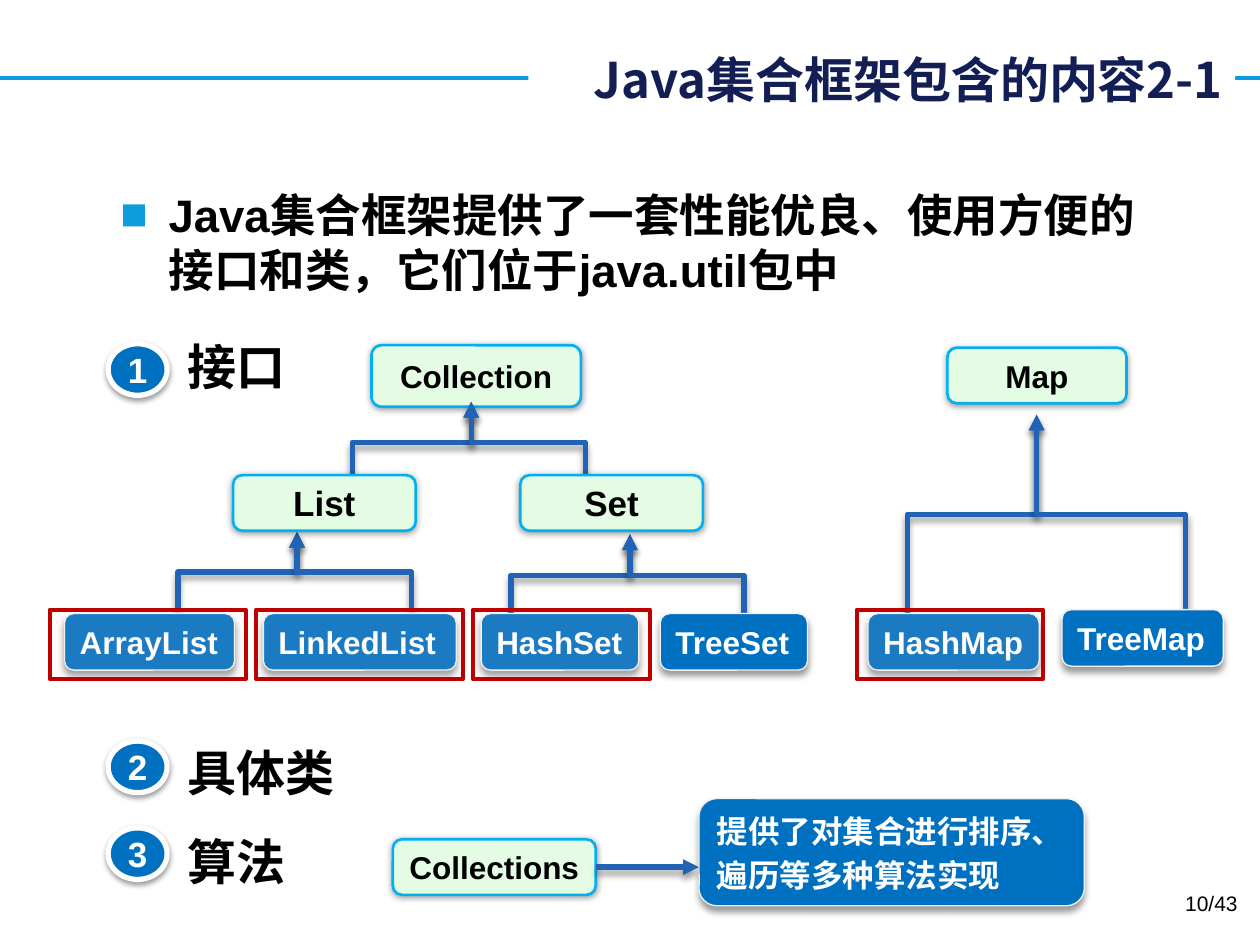
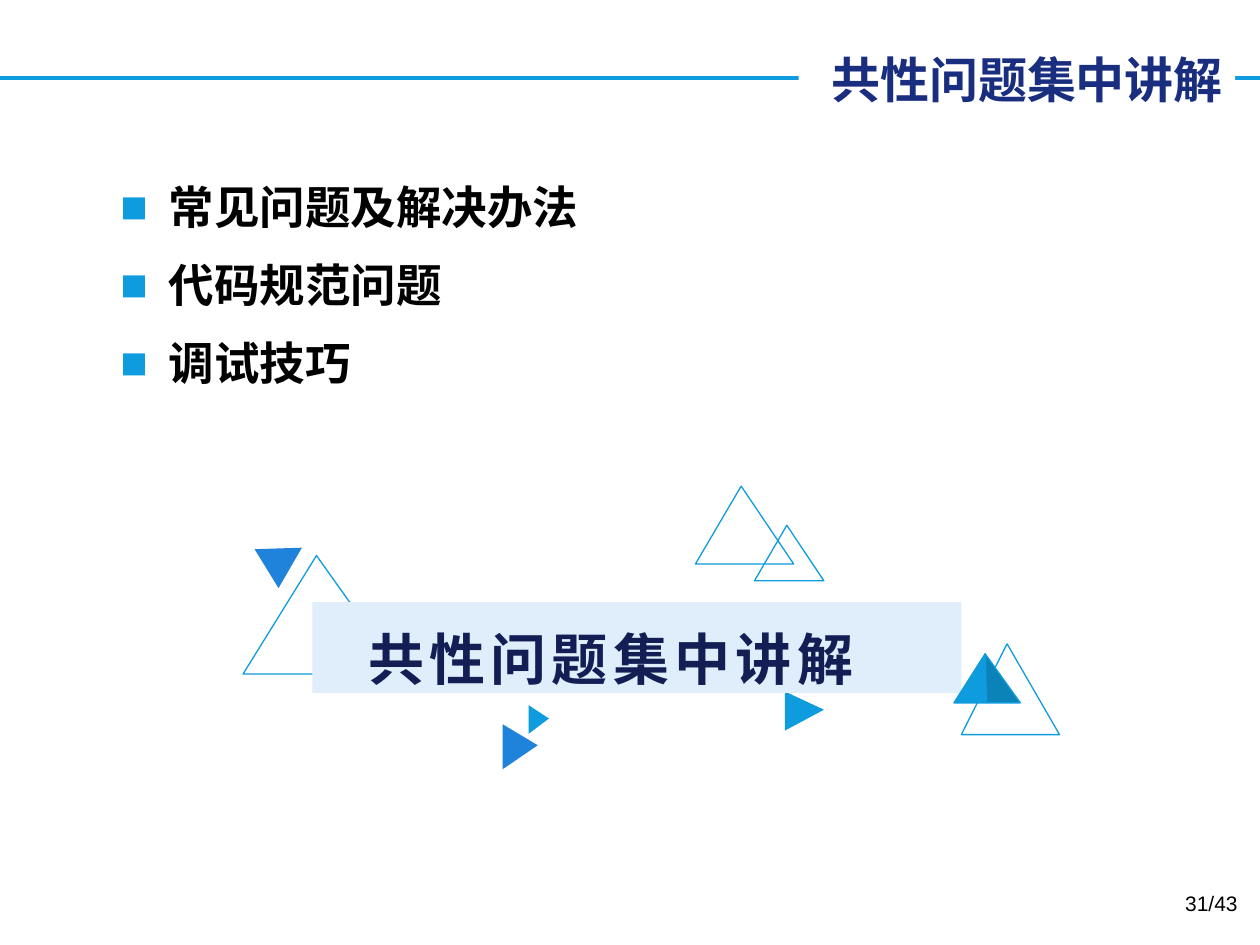
from lxml.etree import SubElement
from pptx import Presentation
from pptx.dml.color import RGBColor
from pptx.enum.shapes import MSO_CONNECTOR as CONNECTOR, MSO_SHAPE as SHAPE
from pptx.enum.text import MSO_ANCHOR as ANCHOR, PP_ALIGN as ALIGN
from pptx.oxml.ns import qn
from pptx.util import Cm, Pt

# Shared look
LATIN, CJK = "Arial", "Noto Sans CJK SC"
SKY, BLUE, ROYAL, NAVY = "0E9CDE", "0070C0", "1F82DB", "121E54"
ARROW_BLUE, MINT, CYAN, RED = "2163B4", "E4FCE4", "00B0F0", "C00000"
WHITE, BLACK, PALE = "FFFFFF", "000000", "F2F2F2"
CJK_LINE = 1.21
INDENT = 0.97


def color(value):
    return RGBColor.from_string(value)


def add_shadow(shape, blur=None, distance=None, alpha=40):
    """Replace the theme shadow; without a blur the shape gets none."""
    properties = shape.element.spPr
    effects = properties.find(qn("a:effectLst"))
    if effects is None:
        effects = SubElement(properties, qn("a:effectLst"))
    if blur is None:
        return
    outer = SubElement(effects, qn("a:outerShdw"), blurRad=str(Pt(blur)),
                       dist=str(Pt(distance)), dir="5400000", rotWithShape="0")
    tint = SubElement(outer, qn("a:srgbClr"), val=BLACK)
    SubElement(tint, qn("a:alpha"), val=str(alpha * 1000))


def style(shape, fill=None, line=None, weight=0.75, shadow=()):
    shape.shadow.inherit = False
    if fill:
        shape.fill.solid()
        shape.fill.fore_color.rgb = color(fill)
    else:
        shape.fill.background()
    if line:
        shape.line.color.rgb = color(line)
        shape.line.width = Pt(weight)
    else:
        shape.line.fill.background()
    add_shadow(shape, *shadow)
    return shape


def add_box(slide, kind, left, top, width, height, **look):
    shape = slide.shapes.add_shape(kind, Cm(left), Cm(top), Cm(width), Cm(height))
    return style(shape, **look)


def add_text_box(slide, left, top, width, height):
    return slide.shapes.add_textbox(Cm(left), Cm(top), Cm(width), Cm(height))


def write(shape, *lines, size=18, font=LATIN, ink=BLACK, bold=True, align=ALIGN.LEFT,
          anchor=ANCHOR.TOP, bullet=None, gap=0, exact=False, spacing=0, insets=None):
    frame = shape.text_frame
    frame.word_wrap = True
    frame.vertical_anchor = anchor
    if insets:
        (frame.margin_left, frame.margin_top,
         frame.margin_right, frame.margin_bottom) = map(Cm, insets)
    for number, line in enumerate(lines):
        paragraph = frame.paragraphs[0] if number == 0 else frame.add_paragraph()
        paragraph.alignment = align
        paragraph.space_before = Pt(gap if number else 0)
        if exact:
            paragraph.line_spacing = Pt(round(size * CJK_LINE, 1))
        if bullet:
            add_bullet(paragraph, bullet)
        run = paragraph.add_run()
        run.text = line
        run.font.name = font
        run.font.size = Pt(size)
        run.font.bold = bold
        run.font.color.rgb = color(ink)
        run_properties = run._r.get_or_add_rPr()
        SubElement(run_properties, qn("a:ea"), typeface=CJK)
        if spacing:
            run_properties.set("spc", str(spacing * 100))
    return shape


def add_bullet(paragraph, mark):
    properties = paragraph._p.get_or_add_pPr()
    properties.set("marL", str(Cm(INDENT)))
    properties.set("indent", str(-Cm(INDENT)))
    tint = SubElement(properties, qn("a:buClr"))
    SubElement(tint, qn("a:srgbClr"), val=SKY)
    SubElement(properties, qn("a:buFont"), typeface=LATIN)
    SubElement(properties, qn("a:buChar"), char=mark)


def add_line(slide, kind, start, end, ink=ARROW_BLUE, weight=3, arrow=True):
    connector = slide.shapes.add_connector(
        kind, Cm(start[0]), Cm(start[1]), Cm(end[0]), Cm(end[1]))
    connector.line.color.rgb = color(ink)
    connector.line.width = Pt(weight)
    if arrow:
        SubElement(connector.element.spPr.find(qn("a:ln")), qn("a:tailEnd"), type="triangle")
        add_shadow(connector, 4, 3)
    else:
        add_shadow(connector)
    return connector


def add_riser(slide, start, end):
    """Elbow arrow that leaves upwards, runs sideways and ends upwards."""
    middle_x, middle_y = (start[0] + end[0]) / 2, (start[1] + end[1]) / 2
    half_rise, half_run = (start[1] - end[1]) / 2, abs(end[0] - start[0]) / 2
    rightward = end[0] > start[0]
    reach = half_rise if rightward else -half_rise
    connector = add_line(slide, CONNECTOR.ELBOW,
                         (middle_x - reach, middle_y - half_run),
                         (middle_x + reach, middle_y + half_run))
    degrees = 270 if rightward else 90
    connector.element.spPr.find(qn("a:xfrm")).set("rot", str(degrees * 60000))


# Parts found on both slides
def add_frame(presentation, title, title_width, page, ink):
    slide = presentation.slides.add_slide(presentation.slide_layouts[6])
    add_line(slide, CONNECTOR.STRAIGHT, (0, 1.57), (25.4, 1.57), SKY, 2.25, arrow=False)
    band = add_box(slide, SHAPE.RECTANGLE, 24.9 - title_width, 0.86, title_width, 1.45,
                   fill=WHITE)
    write(band, title, size=28, font=CJK, ink=ink, align=ALIGN.RIGHT,
          anchor=ANCHOR.MIDDLE, exact=True)
    write(add_text_box(slide, 19.28, 17.83, 5.92, 1.02), page, size=12, bold=False,
          align=ALIGN.RIGHT)
    return slide


def add_points(slide, left, top, width, height, *points):
    write(add_text_box(slide, left, top, width, height), *points, size=26,
          bullet="■", gap=13, exact=True)


# Slide 1
def add_heading(slide, left, top, number, label, label_offset):
    badge = add_box(slide, SHAPE.OVAL, left, top, 1.19, 1.04, fill=BLUE, line=WHITE,
                    weight=3, shadow=(3.1, 1.6, 38))
    write(badge, str(number), size=20, ink=WHITE, align=ALIGN.CENTER,
          anchor=ANCHOR.MIDDLE, insets=(0, 0, 0, 0))
    write(add_text_box(slide, left + 1.35, top + label_offset, 6, 1.45), label,
          size=28, exact=True)


def add_interface(slide, name, left, top, width, height=1.12, size=18):
    box = add_box(slide, SHAPE.ROUNDED_RECTANGLE, left, top, width, height, fill=MINT,
                  line=CYAN, weight=1.5, shadow=(4, 1))
    return write(box, name, size=size, align=ALIGN.CENTER, anchor=ANCHOR.MIDDLE,
                 insets=(0.1, 0.13, 0.1, 0.13))


def add_blue_box(slide, kind, left, top, width, height, *lines, exact=False):
    box = add_box(slide, kind, left, top, width, height, fill=BLUE, line=PALE,
                  shadow=(4, 3))
    return write(box, *lines, ink=WHITE, anchor=ANCHOR.BOTTOM, gap=3.6, exact=exact,
                 insets=(0.25, 0.13, 0, 0.13))


def add_type_tree(slide, left, top):
    add_interface(slide, "Collection", left + 6.49, top, 4.22, 1.24)
    add_interface(slide, "Map", left + 18.1, top + 0.05, 3.61)
    # Tip x, tip y, foot y, reach to the left and to the right
    for x, tip, foot, left_reach, right_reach in (
            (8.5, 1.14, 2.77, 2.4, 2.3), (4.99, 3.76, 5.38, 2.4, 2.3),
            (11.7, 3.81, 5.46, 2.4, 2.3), (19.9, 1.4, 5.41, 2.61, 3)):
        for foot_x in (x - left_reach, x + right_reach):
            add_riser(slide, (left + foot_x, top + foot), (left + x, top + tip))
    for name, x in (("List", 3.7), ("Set", 9.49)):
        add_interface(slide, name, left + x, top + 2.62, 3.68, size=20)
    for name, x, y, width in (
            ("ArrayList", 0.3, 5.41, 3.43), ("LinkedList", 4.31, 5.41, 3.89),
            ("HashSet", 8.7, 5.41, 3.18), ("TreeSet", 12.31, 5.41, 2.97),
            ("HashMap", 16.5, 5.41, 3.45), ("TreeMap", 20.41, 5.33, 3.25)):
        add_blue_box(slide, SHAPE.ROUNDED_RECTANGLE, left + x, top + y, width, 1.14, name)
    # Red frames around the most used classes
    for x, width in ((0, 3.96), (4.16, 4.17), (8.53, 3.58), (16.27, 3.76)):
        frame = add_box(slide, SHAPE.RECTANGLE, left + x, top + 5.33, width, 1.4,
                        fill="FFDDDD", line=RED, weight=2.25)
        tint = frame.element.spPr.find(qn("a:solidFill"))[0]
        SubElement(tint, qn("a:alpha"), val="10000")


def add_algorithms(slide, left, top):
    tools = add_interface(slide, "Collections", left, top + 0.82, 4.09)
    callout = add_blue_box(slide, SHAPE.ROUNDED_RECTANGULAR_CALLOUT, left + 6.17, top,
                           7.77, 2.16, "提供了对集合进行排序、", "遍历等多种算法实现", exact=True)
    for index, value in enumerate((-0.499, 0.287, 0.167)):
        callout.adjustments[index] = value
    arrow_y = top + 1.38
    arrow = add_line(slide, CONNECTOR.STRAIGHT, (left + 4.09, arrow_y),
                     (left + 6.17, arrow_y))
    arrow.begin_connect(tools, 3)


def build_framework_slide(presentation):
    slide = add_frame(presentation, "Java集合框架包含的内容2-1", 14.25, "10/43", NAVY)
    add_points(slide, 2.18, 3.63, 21.23, 2.41,
               "Java集合框架提供了一套性能优良、使用方便的接口和类，它们位于java.util包中")
    headings = (("接口", 6.93, -0.29), ("具体类", 14.94, -0.1), ("算法", 16.69, -0.07))
    for number, (label, top, label_offset) in enumerate(headings, 1):
        add_heading(slide, 2.18, top, number, label, label_offset)
    add_type_tree(slide, 1, 6.96)
    add_algorithms(slide, 7.92, 16.1)


# Slide 2
def add_triangle(slide, left, top, width, height, rotation=0, **look):
    triangle = add_box(slide, SHAPE.ISOSCELES_TRIANGLE, left, top, width, height, **look)
    triangle.adjustments[0] = 0.466
    triangle.rotation = rotation


def add_facet(slide, fill, *points):
    start, *rest = [(Cm(x), Cm(y)) for x, y in points]
    builder = slide.shapes.build_freeform(*start)
    builder.add_line_segments(rest, close=True)
    style(builder.convert_to_shape(), fill=fill, line=SKY)


def add_banner(slide, left, top, text):
    # Outlined triangles
    for x, y, width, height in ((0, 1.4, 3.18, 2.39), (14.48, 3.18, 1.98, 1.83),
                                (10.31, 0.79, 1.4, 1.12), (9.12, 0, 1.98, 1.57)):
        add_triangle(slide, left + x, top + y, width, height, line=SKY)
    # Solid triangles
    for x, y, width, height, rotation, fill in (
            (5.67, 4.5, 0.58, 0.41, 90, SKY), (0.13, 1.04, 0.94, 0.81, 300, ROYAL),
            (5.13, 4.9, 0.91, 0.71, 90, ROYAL), (10.92, 4.14, 0.79, 0.79, 90, SKY)):
        add_triangle(slide, left + x, top + y, width, height, rotation, fill=fill)
    plate = add_box(slide, SHAPE.RECTANGLE, left + 1.4, top + 2.34, 13.08, 1.83,
                    fill="E0EEFB")
    write(plate, text, size=32, font=CJK, ink=NAVY, align=ALIGN.CENTER, exact=True,
          spacing=3, insets=(0.25, 0.44, 1.3, 0.13))
    # Pyramid with a lit and a shaded side
    peak, foot = (left + 14.96, top + 3.38), (left + 14.99, top + 4.37)
    for x, fill in ((14.33, SKY), (15.67, "0C83B8")):
        add_facet(slide, fill, (left + x, top + 4.37), peak, foot)


def build_review_slide(presentation):
    slide = add_frame(presentation, "共性问题集中讲解", 8.8, "31/43", "1A2E7F")
    add_points(slide, 2.18, 3.48, 21.23, 14.3,
               "常见问题及解决办法", "代码规范问题", "调试技巧")
    add_banner(slide, 4.9, 9.8, "共性问题集中讲解")


def main():
    presentation = Presentation()
    presentation.slide_width, presentation.slide_height = Cm(25.4), Cm(19.05)
    build_framework_slide(presentation)
    build_review_slide(presentation)
    presentation.save("out.pptx")


if __name__ == "__main__":
    main()
